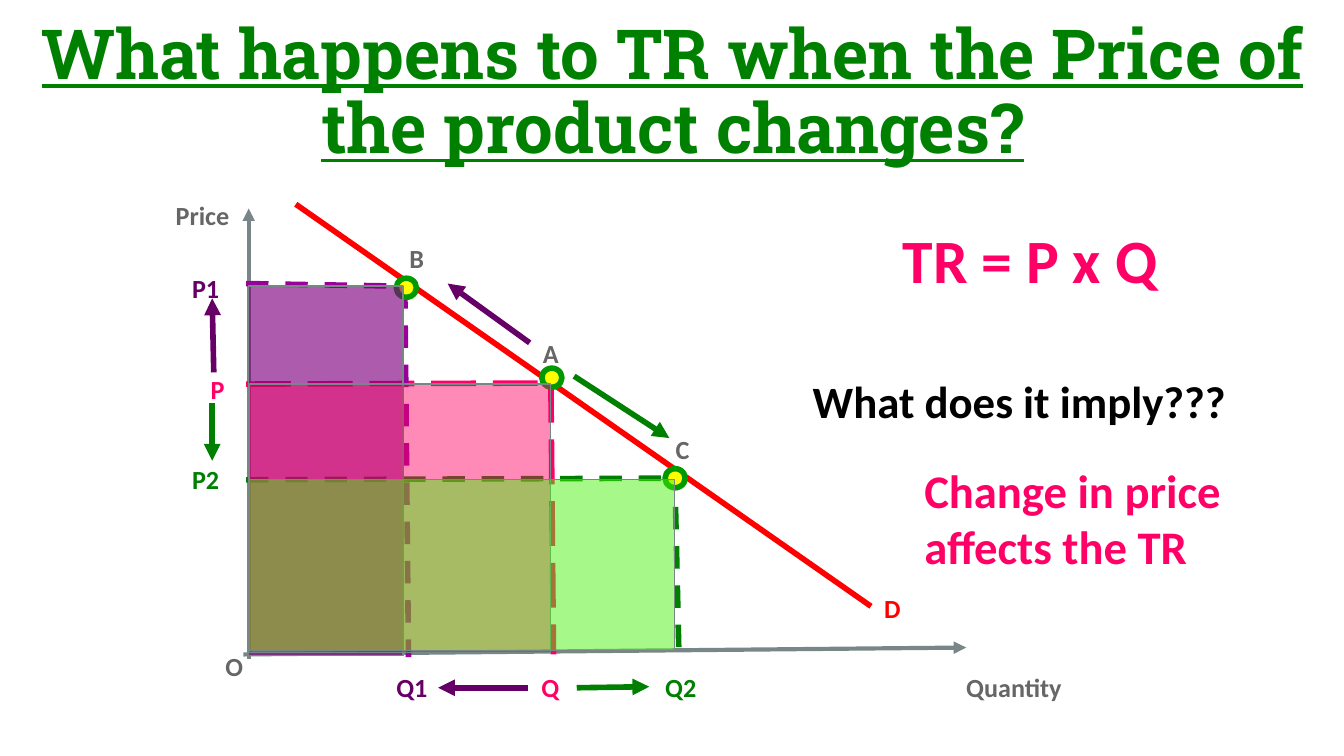
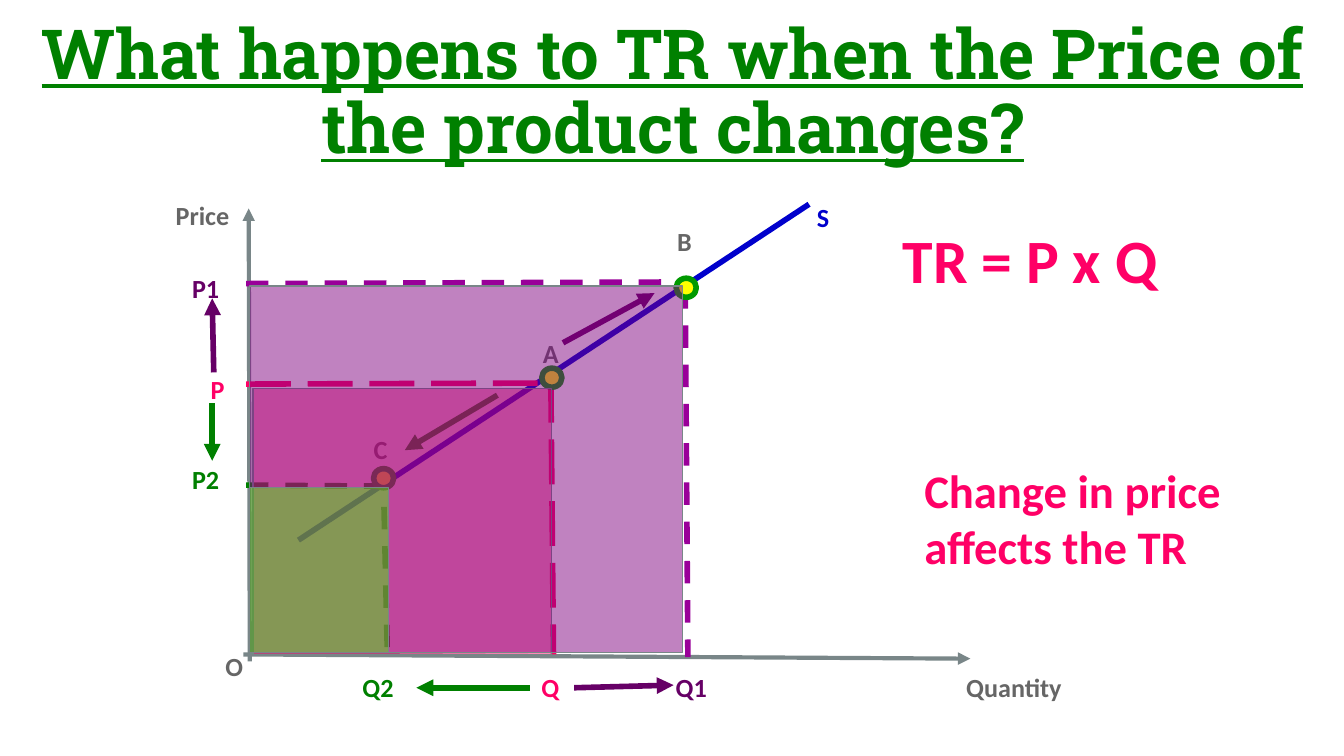
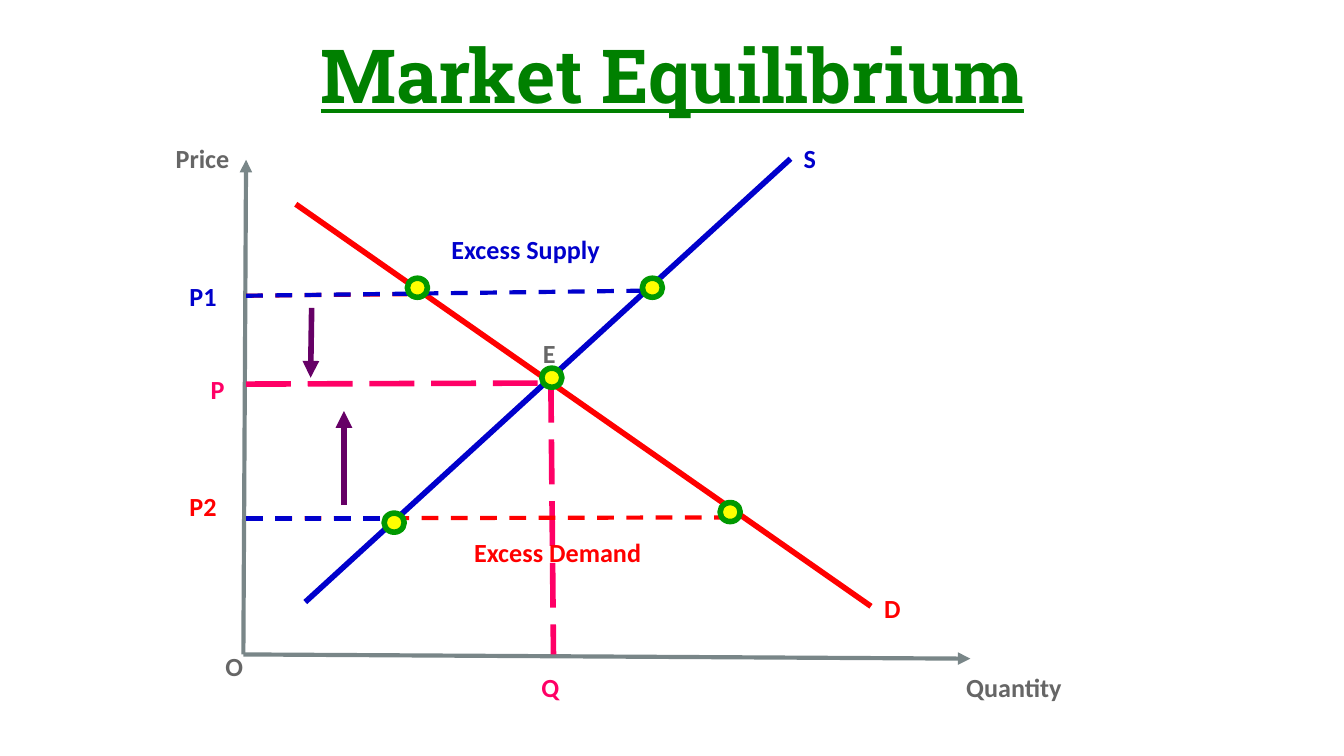
from lxml import etree
from pptx import Presentation
from pptx import util as u
from pptx.dml.color import RGBColor
from pptx.enum import dml, shapes, text
from pptx.oxml.ns import qn

COLORS = {
    "title": "008000", "axis": "798688", "grey": "666666", "black": "000000",
    "red": "FF0000", "blue": "0000CC", "pink": "FF0066", "purple": "660066",
    "violet": "990099", "green": "008000", "lime": "45F109", "plum": "800080",
    "dot": "FFFF00", "ring": "009900",
}
DASH, LONG = dml.MSO_LINE.DASH, dml.MSO_LINE.LONG_DASH
LABEL_H, DOT_W, DOT_H = 1.12, 0.38, 0.36

# ---- Content shared between slides (all lengths in cm) ----
TR_TITLE = {"text": "What happens to TR when the Price of the product changes?",
            "size": 37, "top": 0.58}
X_AXIS = (4.6, 12.37, 18.34, 12.45)
DEMAND = (5.59, 3.86, 16.46, 11.46, "red")
DEMAND_LABEL = ("D", 16.46, 10.95, 0.91, "red")
PRICE_LABEL = ("Price", 3.07, 3.51, 3.28, "grey")

# label: text, left, top, width, colour
COMMON_LABELS = [
    ("O", 4.01, 12.04, 0.91, "grey"),
    ("Quantity", 18.01, 12.45, 6.96, "grey"),
    ("P", 3.73, 6.81, 0.91, "pink"),
    ("Q", 9.98, 12.45, 0.91, "pink"),
]
TR_LABELS = [
    PRICE_LABEL,
    ("A", 10.01, 6.12, 0.84, "grey"),
    ("P1", 3.38, 4.9, 1.27, "purple"),
    ("P2", 3.38, 8.51, 1.27, "green"),
]
# guide: x1, y1, x2, y2, colour, width, dash
COMMON_GUIDES = [
    (4.65, 7.26, 10.41, 7.24, "pink", 3, LONG),
    (10.41, 7.14, 10.46, 12.37, "pink", 3, LONG),
]
COMMON_DOTS = [(10.24, 6.96)]
# arrow: x1, y1, x2, y2, colour
TR_ARROWS = [
    (4.04, 7.04, 4.01, 5.64, "purple"),
    (4.01, 7.62, 4.01, 8.71, "green"),
]
# note: text, left, top, width, height, size, colour
TR_NOTE = ("TR = P x Q", 16.81, 3.94, 6.96, 1.93, 33, "pink")
IMPLY_NOTE = ("What does it imply???", 15.11, 6.81, 9.7, 1.55, 24, "black")
CHANGE_NOTE = ("Change in price affects the TR", 17.22, 8.48, 7.92, 2.64, 25, "pink")

# ---- Content of each slide ----
SLIDES = [
    {
        "title": TR_TITLE,
        "axes": [(4.7, 12.45, 4.7, 3.94), (4.6, 12.37, 18.26, 12.24)],
        "curves": [DEMAND],
        "guides": [
            (4.65, 5.36, 7.67, 5.41, "violet", 3, DASH),
            (7.65, 5.41, 7.72, 12.42, "violet", 3, DASH),
            (4.65, 9.07, 12.57, 9.04, "green", 3, DASH),
            (12.75, 8.84, 12.83, 12.34, "green", 3, DASH),
        ],
        "dots": [(7.49, 5.26), (12.57, 8.86)],
        "arrows": TR_ARROWS + [
            (9.98, 13, 8.28, 13, "purple"),
            (10.9, 13, 12.27, 12.98, "green"),
            (10.01, 6.48, 8.46, 5.36, "purple"),
            (10.85, 7.11, 12.65, 8.28, "green"),
        ],
        "labels": TR_LABELS + [
            DEMAND_LABEL,
            ("Q1", 7.24, 12.45, 1.27, "purple"),
            ("Q2", 12.32, 12.45, 1.27, "green"),
            ("B", 7.49, 4.34, 0.84, "grey"),
            ("C", 12.52, 7.95, 0.84, "grey"),
        ],
        # area: left, top, width, height, colour, opacity in percent
        "areas": [
            (4.7, 5.41, 2.92, 6.98, "plum", 64),
            (4.72, 7.26, 5.69, 5.08, "pink", 46),
            (4.72, 9.07, 8.03, 3.23, "lime", 48),
        ],
        "notes": [TR_NOTE, IMPLY_NOTE, CHANGE_NOTE],
    },
    {
        "title": TR_TITLE,
        "axes": [(4.72, 12.5, 4.7, 3.94), X_AXIS],
        "curves": [(5.64, 10.21, 15.29, 3.86, "blue")],
        "guides": [
            (4.65, 5.36, 12.83, 5.33, "violet", 3, DASH),
            (12.95, 5.41, 13, 12.42, "violet", 3, DASH),
            (4.65, 9.17, 7.47, 9.19, "green", 3, DASH),
            (7.24, 8.84, 7.32, 12.34, "green", 3, DASH),
        ],
        "dots": [(12.78, 5.26), (7.06, 8.86)],
        "arrows": TR_ARROWS + [
            (10.85, 13, 12.73, 12.95, "purple"),
            (10.01, 13, 7.87, 13, "green"),
            (10.64, 6.48, 12.37, 5.54, "purple"),
            (9.4, 7.47, 7.65, 8.51, "green"),
        ],
        "labels": TR_LABELS + [
            ("S", 15.19, 3.56, 0.91, "blue"),
            ("Q1", 12.52, 12.45, 1.27, "purple"),
            ("Q2", 6.6, 12.45, 1.27, "green"),
            ("B", 12.55, 4.01, 0.84, "grey"),
            ("C", 6.81, 7.95, 0.84, "grey"),
        ],
        "areas": [
            (4.78, 7.34, 5.64, 5.03, "pink", 46),
            (4.72, 5.41, 8.18, 6.93, "plum", 49),
            (4.72, 9.22, 2.62, 3.12, "lime", 48),
        ],
        "notes": [TR_NOTE, CHANGE_NOTE],
    },
    {
        "title": {"text": "Market Equilibrium", "size": 40, "top": 0.3},
        "axes": [(4.6, 12.37, 4.65, 3.02), X_AXIS],
        "curves": [DEMAND, (5.77, 11.38, 14.94, 3, "blue")],
        "guides": [
            (4.65, 5.59, 7.82, 5.56, "red", 2.25, DASH),
            (4.65, 5.59, 12.5, 5.49, "blue", 2.25, DASH),
            (4.65, 9.8, 13.69, 9.78, "red", 2.25, DASH),
            (4.65, 9.8, 7.54, 9.8, "blue", 2.25, DASH),
        ],
        "dots": [(7.7, 5.26), (12.14, 5.26), (7.26, 9.7), (13.61, 9.5)],
        "arrows": [
            (5.89, 5.82, 5.87, 7.14, "purple"),
            (6.5, 9.55, 6.5, 7.77, "purple"),
        ],
        "labels": [
            DEMAND_LABEL,
            ("S", 14.94, 2.44, 0.91, "blue"),
            ("Price", 3.07, 2.44, 3.28, "grey"),
            ("E", 10.01, 6.12, 0.84, "grey"),
            ("P1", 3.33, 5.05, 1.27, "blue"),
            ("P2", 3.33, 9.02, 1.27, "red"),
            ("Excess Supply", 8.28, 4.17, 4.14, "blue"),
            ("Excess Demand", 8.71, 9.88, 4.37, "red"),
        ],
        "areas": [],
        "notes": [],
    },
]


def rgb(name):
    return RGBColor.from_string(COLORS[name])


def set_font(p, name, size, color):
    p.font.name = name
    p.font.size = u.Pt(size)
    p.font.bold = True
    p.font.color.rgb = rgb(color)


def add_title(s, title):
    sp = s.shapes.title
    sp.left, sp.top, sp.width, sp.height = map(u.Cm, (0.43, title["top"], 24.56, 2.39))
    tf = sp.text_frame
    tf.text = title["text"]
    tf.word_wrap = True
    tf.auto_size = text.MSO_AUTO_SIZE.NONE
    tf.vertical_anchor = text.MSO_ANCHOR.MIDDLE
    p = tf.paragraphs[0]
    p.alignment = text.PP_ALIGN.CENTER
    p.line_spacing = 0.9
    set_font(p, "Roboto Slab", title["size"], "title")
    p.font.underline = True


def add_line(s, x1, y1, x2, y2, color, width=3, dash=None, arrow=False):
    cx = s.shapes.add_connector(shapes.MSO_CONNECTOR.STRAIGHT,
                                *map(u.Cm, (x1, y1, x2, y2)))
    cx.line.color.rgb = rgb(color)
    cx.line.width = u.Pt(width)
    if dash:
        cx.line.dash_style = dash
    if arrow:
        etree.SubElement(cx.line._get_or_add_ln(), qn("a:tailEnd"), type="triangle")
    etree.SubElement(cx._element.spPr, qn("a:effectLst"))


def add_shape(s, kind, box, fill, line, width, opacity=100):
    sp = s.shapes.add_shape(kind, *map(u.Cm, box))
    sp.shadow.inherit = False
    sp.fill.solid()
    sp.fill.fore_color.rgb = rgb(fill)
    if opacity < 100:
        color = sp._element.spPr.find(qn("a:solidFill"))[0]
        etree.SubElement(color, qn("a:alpha"), val=str(opacity * 1000))
    sp.line.color.rgb = rgb(line)
    sp.line.width = u.Pt(width)


def add_text(s, words, x, y, w, h, size, color):
    tf = s.shapes.add_textbox(*map(u.Cm, (x, y, w, h))).text_frame
    tf.word_wrap = True
    tf.auto_size = text.MSO_AUTO_SIZE.SHAPE_TO_FIT_TEXT
    tf.margin_left = tf.margin_right = tf.margin_top = tf.margin_bottom = u.Cm(0.25)
    tf.text = words
    set_font(tf.paragraphs[0], "Calibri", size, color)


def build_slide(prs, data):
    s = prs.slides.add_slide(prs.slide_layouts[5])
    add_title(s, data["title"])
    # Axes, curves and dashed guides
    for axis in data["axes"]:
        add_line(s, *axis, "axis", 2.25, arrow=True)
    for curve in data["curves"]:
        add_line(s, *curve)
    for guide in COMMON_GUIDES + data["guides"]:
        add_line(s, *guide)
    # Points, movements and labels
    for x, y in COMMON_DOTS + data["dots"]:
        add_shape(s, shapes.MSO_SHAPE.OVAL, (x, y, DOT_W, DOT_H), "dot", "ring", 3)
    for arrow in data["arrows"]:
        add_line(s, *arrow, arrow=True)
    for words, x, y, w, color in COMMON_LABELS + data["labels"]:
        add_text(s, words, x, y, w, LABEL_H, 14, color)
    # Revenue areas and side notes
    for *box, color, opacity in data["areas"]:
        add_shape(s, shapes.MSO_SHAPE.RECTANGLE, box, color, "axis", 0.75, opacity)
    for note in data["notes"]:
        add_text(s, *note)


def main():
    prs = Presentation()
    prs.slide_width, prs.slide_height = u.Cm(25.4), u.Cm(14.29)
    for data in SLIDES:
        build_slide(prs, data)
    prs.save("out.pptx")


if __name__ == "__main__":
    main()
